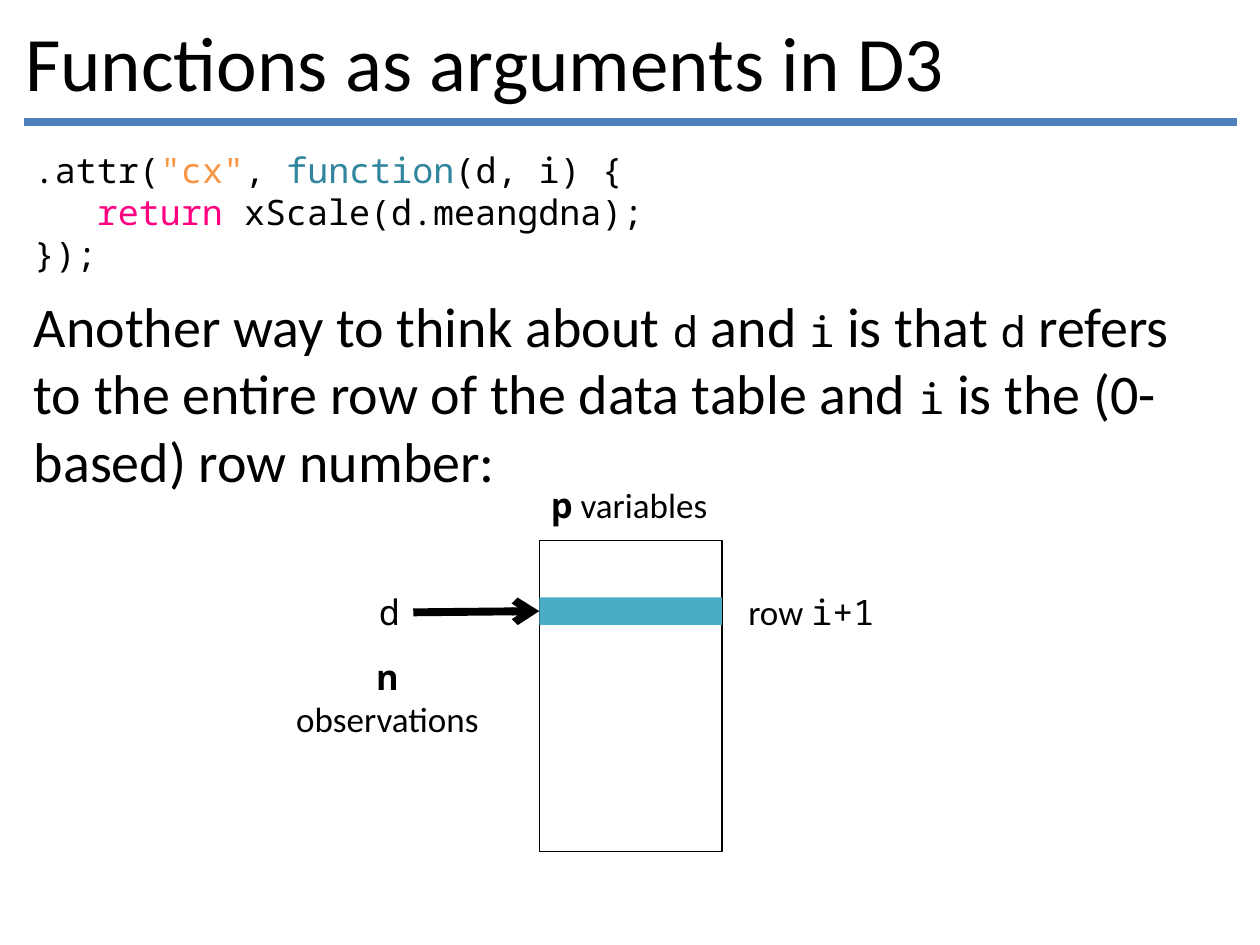
import pptx
import pptx.dml.color
import pptx.enum.shapes
import pptx.enum.text
import pptx.oxml.ns
import pptx.util
from dataclasses import dataclass
from lxml import etree

Inches = pptx.util.Inches
Pt = pptx.util.Pt
ALIGN = pptx.enum.text.PP_ALIGN
ANCHOR = pptx.enum.text.MSO_ANCHOR
AUTO_SIZE = pptx.enum.text.MSO_AUTO_SIZE


@dataclass(frozen=True)
class Theme:
    black: str = "000000"
    rule: str = "4F81BD"
    string: str = "F79646"
    keyword: str = "31859C"
    control: str = "FF0080"
    row: str = "4BACC6"
    body_font: str = "Calibri"
    code_font: str = "Noto Sans Mono"
    title_size: int = 44
    body_size: int = 32
    inline_size: int = 24
    small_size: int = 20
    thick: float = 4.5
    thin: float = 0.75


def rgb(color):
    return pptx.dml.color.RGBColor.from_string(color)


def add_run(p, text, font, size, color, bold=False):
    r = p.add_run()
    r.text = text
    r.font.name = font
    r.font.size = Pt(size)
    r.font.color.rgb = rgb(color)
    r.font.bold = bold


class SlideBuilder:
    def __init__(self, slide, theme):
        self.slide = slide
        self.theme = theme

    def code(self, text, size=None, color=None, bold=False):
        t = self.theme
        return text, dict(font=t.code_font, size=size or t.small_size, color=color or t.black, bold=bold)

    def prose(self, text, size=None):
        t = self.theme
        return text, dict(font=t.body_font, size=size or t.small_size, color=t.black)

    def text(self, left, top, width, height, lines, wrap=False, align=ALIGN.LEFT):
        sp = self.slide.shapes.add_textbox(Inches(left), Inches(top), Inches(width), Inches(height))
        tf = sp.text_frame
        tf.word_wrap = wrap
        tf.auto_size = AUTO_SIZE.SHAPE_TO_FIT_TEXT
        for n, runs in enumerate(lines):
            p = tf.add_paragraph() if n else tf.paragraphs[0]
            p.alignment = align
            for text, style in runs:
                add_run(p, text, **style)
        return tf

    def rect(self, left, top, width, height, fill=None, line=None):
        sp = self.slide.shapes.add_shape(
            pptx.enum.shapes.MSO_SHAPE.RECTANGLE,
            Inches(left), Inches(top), Inches(width), Inches(height))
        sp.shadow.inherit = False
        if fill:
            sp.fill.solid()
            sp.fill.fore_color.rgb = rgb(fill)
        else:
            sp.fill.background()
        if line:
            sp.line.color.rgb = rgb(line)
            sp.line.width = Pt(self.theme.thin)
        else:
            sp.line.fill.background()

    def line(self, x1, y1, x2, y2, color, arrow=False):
        sp = self.slide.shapes.add_connector(
            pptx.enum.shapes.MSO_CONNECTOR.STRAIGHT,
            Inches(x1), Inches(y1), Inches(x2), Inches(y2))
        sp.line.color.rgb = rgb(color)
        sp.line.width = Pt(self.theme.thick)
        qn = pptx.oxml.ns.qn
        if arrow:
            etree.SubElement(sp.line._get_or_add_ln(), qn("a:tailEnd"), type="arrow")
        etree.SubElement(sp._element.spPr, qn("a:effectLst"))


def main():
    prs = pptx.Presentation()
    prs.slide_width = Inches(10)
    prs.slide_height = Inches(7.5)
    theme = Theme()
    s = SlideBuilder(prs.slides.add_slide(prs.slide_layouts[6]), theme)
    code, prose = s.code, s.prose

    s.line(0.19, 0.97, 9.82, 0.97, theme.rule)
    title = s.text(0, 0, 10, 0.97,
                   [[prose("Functions as arguments in D3", theme.title_size)]], wrap=True)
    title.auto_size = AUTO_SIZE.NONE
    title.vertical_anchor = ANCHOR.MIDDLE
    title.margin_left = title.margin_right = Inches(0.2)

    sentence = ["Another way to think about ", "d", " and ", "i", " is that ", "d",
                " refers to the entire row of the data table and ", "i",
                " is the (0-based) row number:"]
    body = s.text(0.17, 1.13, 9.66, 2.86, [
        [code(".attr("), code('"cx"', color=theme.string), code(", "),
         code("function", color=theme.keyword), code("(d, i) {")],
        [code("return ", color=theme.control), code("xScale(d.meangdna);")],
        [code("});")],
        [code(part, theme.inline_size) if n % 2 else prose(part, theme.body_size)
         for n, part in enumerate(sentence)],
    ], wrap=True)
    body.paragraphs[1]._p.get_or_add_pPr().set("marL", str(Inches(0.5)))
    body.paragraphs[3].space_before = Pt(9.75)

    table_left, table_width = 4.28, 1.45
    row_top, row_height = 4.74, 0.22
    row_middle = row_top + row_height / 2
    label_top, label_height = 4.64, 0.44

    s.rect(table_left, 4.29, table_width, 2.47, line=theme.black)
    s.text(2.24, 5.15, 1.67, 0.77,
           [[code("n", bold=True)], [prose("observations")]], align=ALIGN.CENTER)
    s.text(table_left, 3.79, table_width, label_height,
           [[code("p", bold=True), prose(" variables")]])
    s.rect(table_left, row_top, table_width, row_height, fill=theme.row)
    s.text(5.84, label_top, 1.22, label_height, [[prose("row "), code("i+1")]])
    s.text(2.91, label_top, 0.37, label_height, [[code("d")]])
    s.line(3.28, label_top + label_height / 2, table_left, row_middle, theme.black, arrow=True)

    prs.save("out.pptx")


if __name__ == "__main__":
    main()
